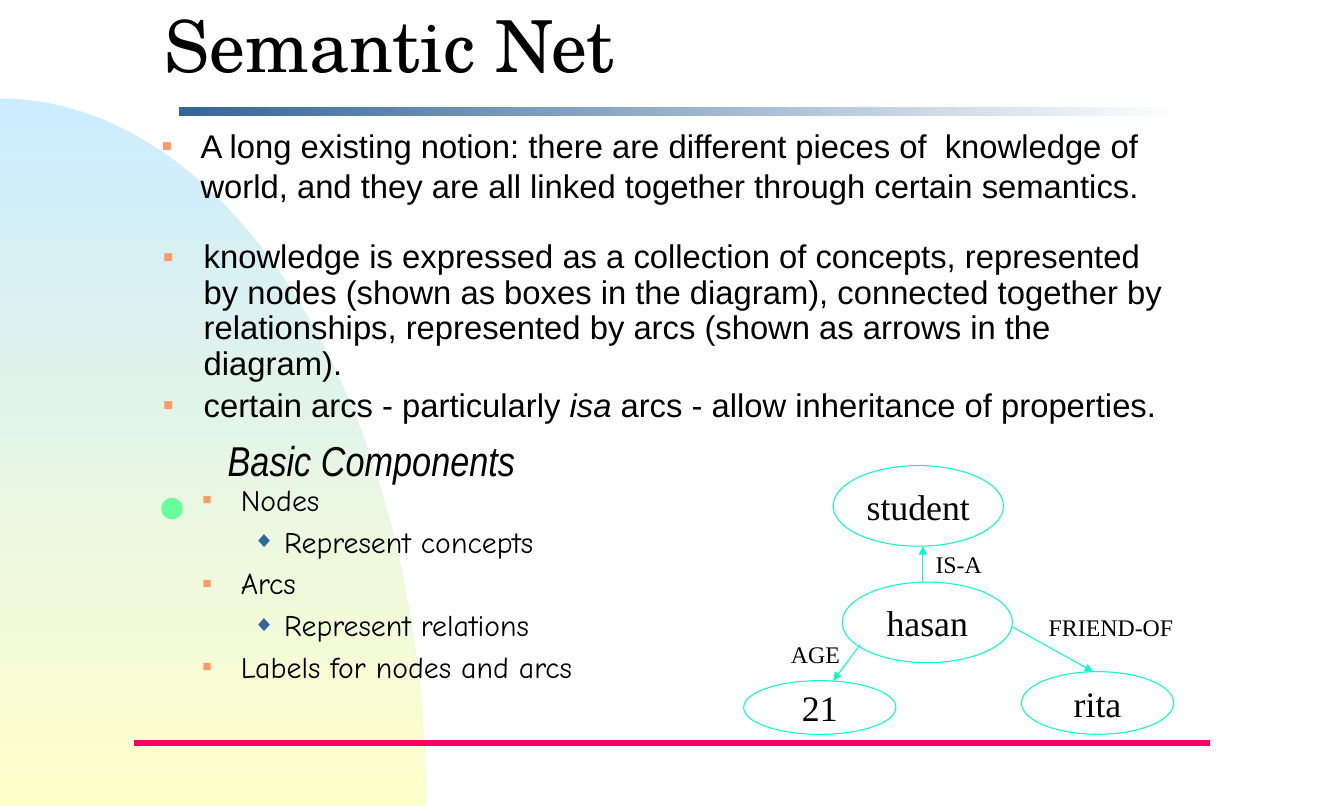
from dataclasses import dataclass
from math import cos, pi, sin

from lxml import etree
from pptx import Presentation
from pptx.dml.color import RGBColor
from pptx.enum.shapes import MSO_CONNECTOR, MSO_SHAPE
from pptx.enum.text import MSO_ANCHOR, MSO_AUTO_SIZE, PP_ALIGN
from pptx.oxml.ns import qn
from pptx.util import Emu, Inches, Pt

COLUMNS, ROWS = 150, 90
SLIDE_HEIGHT = Inches(8)
SLIDE_WIDTH = Emu(SLIDE_HEIGHT * COLUMNS // ROWS)
COLORS = {
    "text": "010000", "square": "FF9966", "diamond": "336699",
    "sky": "CCECFF", "sand": "FFFFCC", "bar": "336699", "white": "FFFFFF",
    "dot": "66FF99", "rule": "FF0066", "net": "00FFCC",
}


@dataclass(frozen=True)
class Box:
    """A rectangle in grid columns and rows."""
    left: float
    top: float
    width: float
    height: float

    def lengths(self) -> tuple:
        return (column(self.left), row(self.top), column(self.width), row(self.height))


@dataclass(frozen=True)
class Label:
    text: str
    box: Box


@dataclass(frozen=True)
class Arc:
    start: tuple
    end: tuple


@dataclass(frozen=True)
class Bullet:
    character: str
    color: str
    percent: int
    margin: float
    hanging: float
    level: int = 0


SQUARE = Bullet("■", "square", 50, 0.38, 0.38)
WIDE_SQUARE = Bullet("■", "square", 50, 0.4, 0.4)
DIAMOND = Bullet("◆", "diamond", 75, 0.81, 0.31, level=1)

NODES = [
    Label("hasan", Box(94, 65, 19, 9)),
    Label("student", Box(93, 52, 19, 9)),
    Label("21", Box(83, 76, 17, 6)),
    Label("rita", Box(114, 75, 17, 7)),
]
ARCS = [
    Arc((103, 65), (103, 61)),
    Arc((96, 72), (93, 76)),
    Arc((113, 70), (122, 75)),
]
ARC_LABELS = [
    Label("IS-A", Box(100, 60, 14, 6)),
    Label("FRIEND-OF", Box(117, 67, 14, 6)),
    Label("AGE", Box(84, 70, 14, 6)),
]
NOTION = [(SQUARE, ["A long existing notion: there are different pieces of  knowledge of "
                    "world, and they are all linked together through certain semantics."])]
KNOWLEDGE = [
    (WIDE_SQUARE, ["knowledge is expressed as a collection of concepts, represented by nodes "
                   "(shown as boxes in the diagram), connected together by relationships, "
                   "represented by arcs (shown as arrows in the diagram)."]),
    (WIDE_SQUARE, ["certain arcs - particularly ", "isa",
                   " arcs - allow inheritance of properties."]),
]
COMPONENTS = [
    (SQUARE, ["Nodes"]),
    (DIAMOND, ["Represent concepts"]),
    (SQUARE, ["Arcs"]),
    (DIAMOND, ["Represent relations"]),
    (SQUARE, ["Labels for nodes and arcs"]),
]


def column(count: float) -> Emu:
    return Emu(round(SLIDE_WIDTH * count / COLUMNS))


def row(count: float) -> Emu:
    return Emu(round(SLIDE_HEIGHT * count / ROWS))


def color(name: str) -> RGBColor:
    return RGBColor.from_string(COLORS[name])


def add_bullet(paragraph, bullet: Bullet) -> None:
    paragraph.level = bullet.level
    properties = paragraph._p.get_or_add_pPr()
    properties.set("marL", str(Inches(bullet.margin)))
    properties.set("indent", str(-Inches(bullet.hanging)))
    bullet_color = etree.SubElement(properties, qn("a:buClr"))
    etree.SubElement(bullet_color, qn("a:srgbClr")).set("val", COLORS[bullet.color])
    etree.SubElement(properties, qn("a:buSzPct")).set("val", str(bullet.percent * 1000))
    etree.SubElement(properties, qn("a:buFont")).set("typeface", "Arial")
    etree.SubElement(properties, qn("a:buChar")).set("char", bullet.character)


def write(shape, paragraphs: list, *, font: str, size: float, spacing: float = 1.0,
          align=PP_ALIGN.LEFT, anchor=MSO_ANCHOR.TOP, wrap: bool = True,
          italic: tuple = (), margin_left: float = 0.1) -> None:
    """Fill a shape with (bullet, runs) paragraphs; runs listed in italic are slanted."""
    frame = shape.text_frame
    frame.auto_size = MSO_AUTO_SIZE.NONE
    frame.word_wrap = wrap
    frame.vertical_anchor = anchor
    frame.margin_left = Inches(margin_left)
    for index, (bullet, runs) in enumerate(paragraphs):
        paragraph = frame.add_paragraph() if index else frame.paragraphs[0]
        if bullet:
            add_bullet(paragraph, bullet)
        paragraph.alignment = align
        paragraph.line_spacing = spacing
        paragraph.space_before = Pt(size * 0.2 if index else 0)
        for text in runs:
            run = paragraph.add_run()
            run.text = text
            run.font.name = font
            run.font.size = Pt(size)
            run.font.bold = False
            run.font.italic = text in italic
            run.font.color.rgb = color("text")


def place(shape, box: Box):
    shape.left, shape.top, shape.width, shape.height = box.lengths()
    return shape


def add_text_box(slide, box: Box):
    return slide.shapes.add_textbox(*box.lengths())


def fill_gradient(shape, first: str, last: str, angle: int) -> None:
    shape.fill.gradient()
    shape.fill.gradient_angle = angle
    for stop, name, position in zip(shape.fill.gradient_stops, (first, last), (0, 1)):
        stop.color.rgb = color(name)
        stop.position = position
    shape.line.fill.background()
    shape.shadow.inherit = False


def add_backdrop(slide) -> None:
    """Draw a quarter ellipse in the lower left corner, behind everything."""
    steps, width, height = 90, 47.5, 79
    angles = [pi / 2 * step / steps for step in range(steps + 1)]
    points = [(column(width * sin(a)), row(ROWS - height * cos(a))) for a in angles]
    builder = slide.shapes.build_freeform(*points[0])
    builder.add_line_segments(points[1:] + [(0, row(ROWS))], close=True)
    backdrop = builder.convert_to_shape()
    fill_gradient(backdrop, "sky", "sand", 270)
    slide.shapes._spTree.insert(2, backdrop._element)


def add_line(slide, arc: Arc, color_name: str, width: float, arrow: bool = False) -> None:
    line = slide.shapes.add_connector(
        MSO_CONNECTOR.STRAIGHT, column(arc.start[0]), row(arc.start[1]),
        column(arc.end[0]), row(arc.end[1]))
    line.line.color.rgb = color(color_name)
    line.line.width = Pt(width)
    if arrow:
        etree.SubElement(line.line._get_or_add_ln(), qn("a:tailEnd")).set("type", "triangle")
    etree.SubElement(line._element.spPr, qn("a:effectLst"))


def add_net(slide) -> None:
    centred = dict(font="Times New Roman", align=PP_ALIGN.CENTER,
                   anchor=MSO_ANCHOR.MIDDLE, wrap=False)
    for node in NODES:
        ellipse = slide.shapes.add_shape(MSO_SHAPE.OVAL, *node.box.lengths())
        ellipse.shadow.inherit = False
        ellipse.fill.background()
        ellipse.line.color.rgb = color("net")
        ellipse.line.width = Pt(0.75)
        write(ellipse, [(None, [node.text])], size=25.6, **centred)
    for arc in ARCS:
        add_line(slide, arc, "net", 0.75, arrow=True)
    for label in ARC_LABELS:
        write(add_text_box(slide, label.box), [(None, [label.text])], size=17.07, **centred)


def main() -> None:
    presentation = Presentation()
    presentation.slide_width, presentation.slide_height = SLIDE_WIDTH, SLIDE_HEIGHT
    slide = presentation.slides.add_slide(presentation.slide_layouts[1])
    add_backdrop(slide)
    write(place(slide.shapes.title, Box(15, 2, 121, 8)), [(None, ["Semantic Net"])],
          font="TeX Gyre Schola", size=51.2, spacing=0.7, anchor=MSO_ANCHOR.BOTTOM,
          margin_left=0.3)
    write(place(slide.placeholders[1], Box(17, 26.3, 114, 19)), KNOWLEDGE,
          font="Arial", size=23.47, spacing=0.9, italic=("isa",), margin_left=0.11)
    add_line(slide, Arc((15, 83), (135, 83)), "rule", 4.5)
    bar = slide.shapes.add_shape(MSO_SHAPE.RECTANGLE, *Box(20, 12, 112, 1).lengths())
    fill_gradient(bar, "bar", "white", 0)
    dot = slide.shapes.add_shape(MSO_SHAPE.OVAL, *Box(18, 55.6, 2.4, 2.4).lengths())
    dot.shadow.inherit = False
    dot.fill.solid()
    dot.fill.fore_color.rgb = color("dot")
    dot.line.fill.background()
    write(add_text_box(slide, Box(17, 13.5, 114, 10.5)), NOTION, font="Arial", size=23.47)
    write(add_text_box(slide, Box(21.5, 53.2, 51.3, 27.7)), COMPONENTS,
          font="Comic Neue", size=21.33)
    heading = "Basic Components"
    write(add_text_box(slide, Box(19, 48.4, 45, 7.2)), [(None, [heading])],
          font="Arial Narrow", size=29.87, spacing=0.7, anchor=MSO_ANCHOR.MIDDLE,
          italic=(heading,), margin_left=0.57)
    add_net(slide)
    presentation.save("out.pptx")


if __name__ == "__main__":
    main()
